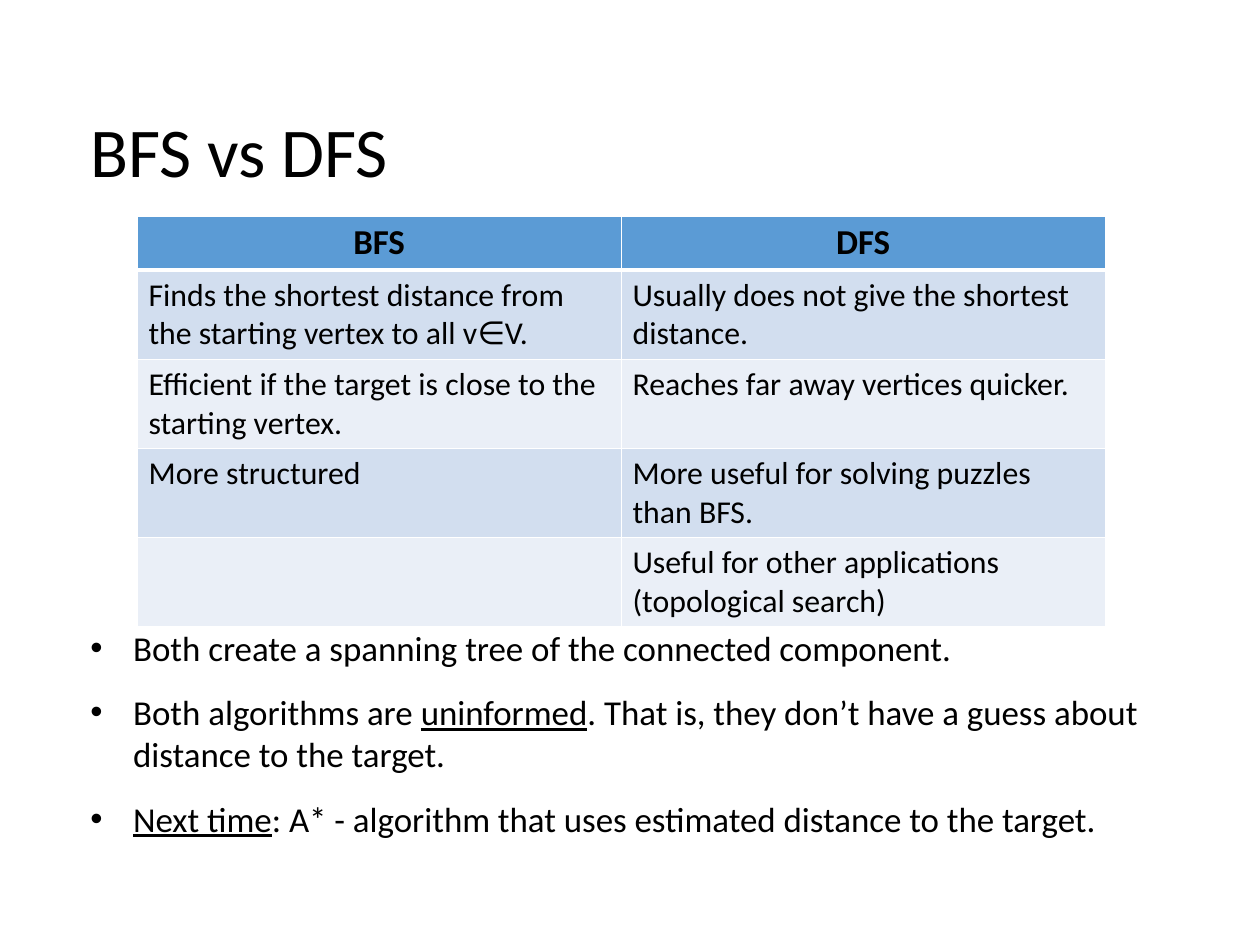
import pptx
import pptx.util
import pptx.oxml
import pptx.oxml.ns
import pptx.dml.color
import pptx.enum.text

Inches = pptx.util.Inches
Pt = pptx.util.Pt
RGBColor = pptx.dml.color.RGBColor
ALIGN = pptx.enum.text.PP_ALIGN
ANCHOR = pptx.enum.text.MSO_ANCHOR
FIT = pptx.enum.text.MSO_AUTO_SIZE

BLACK = RGBColor(0x00, 0x00, 0x00)
WHITE = RGBColor(0xFF, 0xFF, 0xFF)
BLUE = RGBColor(0x5B, 0x9B, 0xD5)
BANDS = [RGBColor(0xD2, 0xDE, 0xEF), RGBColor(0xEA, 0xEF, 0xF7)]
FONT = "Calibri"
CM = 1 / 2.54  # inches in a centimetre

ROWS = [
    ("BFS", "DFS"),
    ("Finds the shortest distance from the starting vertex to all v∈V.",
     "Usually does not give the shortest distance."),
    ("Efficient if the target is close to the starting vertex.",
     "Reaches far away vertices quicker."),
    ("More structured", "More useful for solving puzzles than BFS."),
    ("", "Useful for other applications (topological search)"),
]
# Each point is a list of (text, underlined) parts.
POINTS = [
    [("Both create a spanning tree of the connected component.", False)],
    [("Both algorithms are ", False), ("uninformed", True),
     (". That is, they don’t have a guess about distance to the target.",
      False)],
    [("Next time", True),
     (": A* - algorithm that uses estimated distance to the target.", False)],
]


def style(run, size, bold=False, under=False):
    font = run.font
    font.name = FONT
    font.size = Pt(size)
    font.bold = bold
    font.underline = under
    font.color.rgb = BLACK


def place(shape, box, anchor):
    """Move a placeholder to the box and clear its insets."""
    shape.left, shape.top, shape.width, shape.height = map(Inches, box)
    frame = shape.text_frame
    frame.margin_left = frame.margin_right = 0
    frame.margin_top = frame.margin_bottom = 0
    frame.word_wrap = True
    frame.auto_size = FIT.NONE
    frame.vertical_anchor = anchor
    return frame


def add_title(slide, box, text):
    frame = place(slide.shapes.title, box, ANCHOR.MIDDLE)
    frame.text = text
    para = frame.paragraphs[0]
    para.alignment = ALIGN.LEFT
    style(para.runs[0], 44)


def add_points(slide, box, inset):
    """Fill the body with the points, starting at the inset from its top."""
    frame = place(slide.placeholders[1], box, ANCHOR.TOP)
    frame.margin_top = Inches(inset)
    for i, parts in enumerate(POINTS):
        para = frame.add_paragraph() if i else frame.paragraphs[0]
        para.space_before = Pt(0)
        para.space_after = Pt(14.2)
        for text, under in parts:
            run = para.add_run()
            run.text = text
            style(run, 22, under=under)


def set_edges(cell, widths):
    """Draw white borders; widths in points for left, right, top, bottom."""
    props = cell._tc.get_or_add_tcPr()
    for i, (side, width) in enumerate(zip("LRTB", widths)):
        props.insert(i, pptx.oxml.parse_xml(
            f'<a:ln{side} {pptx.oxml.ns.nsdecls("a")} w="{Pt(width)}">'
            f'<a:solidFill><a:srgbClr val="{WHITE}"/></a:solidFill>'
            f'</a:ln{side}>'))


def add_grid(slide, box, head):
    """Add the table; head is the height of its first row."""
    left, top, width, height = map(Inches, box)
    table = slide.shapes.add_table(
        len(ROWS), len(ROWS[0]), left, top, width, height).table
    rest = (height - Inches(head)) // (len(ROWS) - 1)
    for i, texts in enumerate(ROWS):
        table.rows[i].height = rest if i else Inches(head)
        for j, text in enumerate(texts):
            cell = table.cell(i, j)
            cell.fill.solid()
            cell.fill.fore_color.rgb = BANDS[(i - 1) % 2] if i else BLUE
            set_edges(cell, (1, 1, 3 if i == 1 else 1, 1 if i else 3))
            if not text:
                continue
            cell.text_frame.text = text
            para = cell.text_frame.paragraphs[0]
            para.alignment = ALIGN.LEFT if i else ALIGN.CENTER
            style(para.runs[0], 20 if i else 22, bold=i == 0)


def main():
    deck = pptx.Presentation()
    deck.slide_width = Inches(28 * CM)
    deck.slide_height = Inches(21 * CM)
    slide = deck.slides.add_slide(deck.slide_layouts[1])
    add_title(slide, (0.79, 0.75, 9.25, 1.12), "BFS vs DFS")
    add_points(slide, (0.79, 2.13, 9.68, 5.21), 3.35)
    add_grid(slide, (1.2, 1.89, 8.47, 3.53), 0.42)
    deck.save("out.pptx")


if __name__ == "__main__":
    main()
